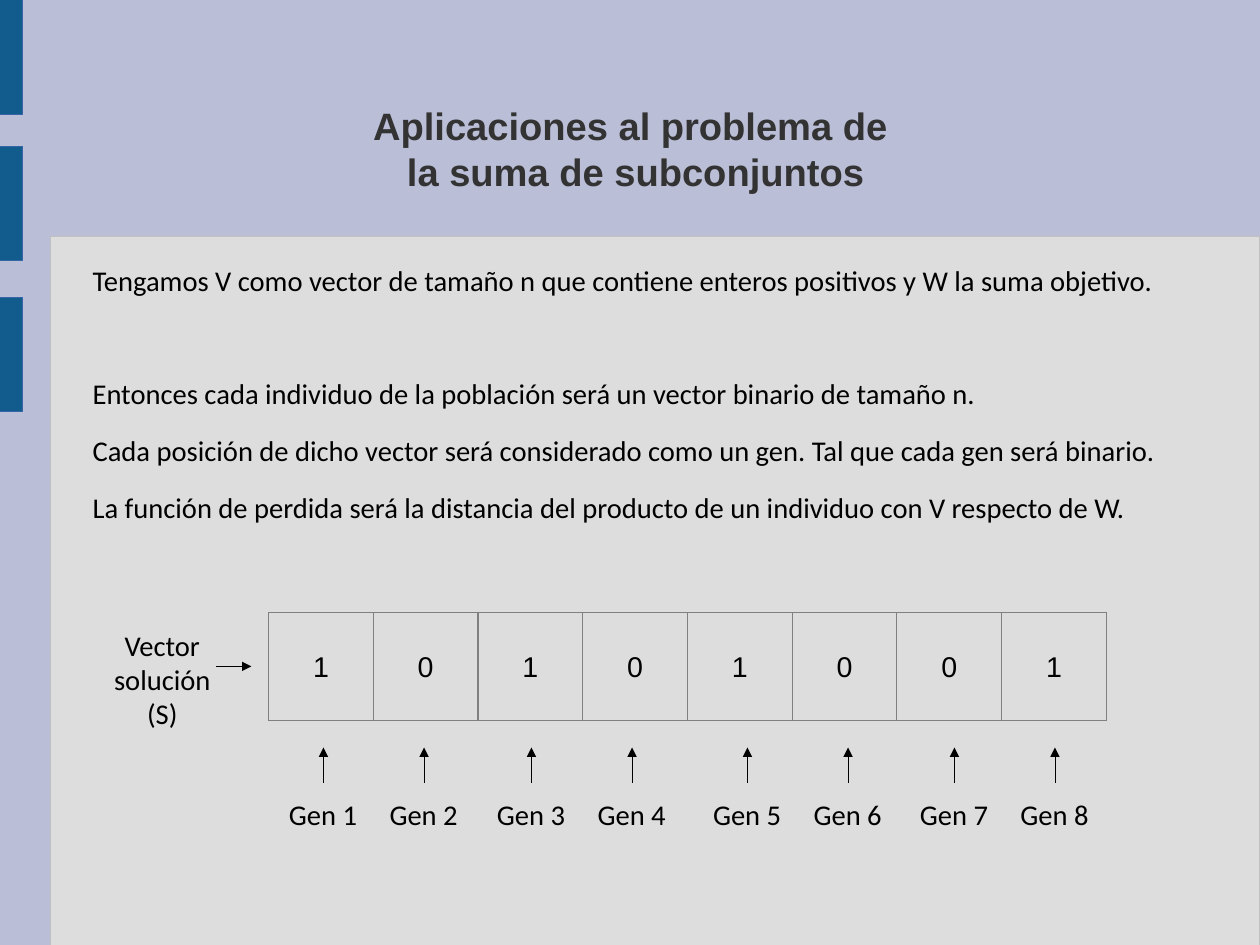
from pptx import Presentation
from pptx.dml.color import RGBColor
from pptx.enum.shapes import MSO_CONNECTOR, MSO_SHAPE
from pptx.enum.text import MSO_ANCHOR, MSO_AUTO_SIZE, PP_ALIGN
from pptx.oxml.ns import qn
from pptx.util import Inches, Pt
from lxml import etree

RECTANGLE = MSO_SHAPE.RECTANGLE
STRAIGHT = MSO_CONNECTOR.STRAIGHT
TOP, MIDDLE = MSO_ANCHOR.TOP, MSO_ANCHOR.MIDDLE
LEFT, CENTER = PP_ALIGN.LEFT, PP_ALIGN.CENTER
GROW = MSO_AUTO_SIZE.SHAPE_TO_FIT_TEXT

THEME = {
    "background": "BABED6", "panel": "DDDDDD", "panel_line": "C0C0C0",
    "tab": "125C8D", "tab_line": "3465A4", "cell_line": "808080",
    "title": "333333", "text": "000000",
    "title_font": "Arial", "body_font": "Calibri",
    "title_size": 24, "body_size": 18,
}

TITLE = ["Aplicaciones al problema de\v la suma de subconjuntos"]
STATEMENTS = [
    "Tengamos V como vector de tamaño n que contiene enteros positivos y W la suma objetivo.",
    "Entonces cada individuo de la población será un vector binario de tamaño n.",
    "Cada posición de dicho vector será considerado como un gen. Tal que cada gen será binario.",
    "La función de perdida será la distancia del producto de un individuo con V respecto de W.",
]
STATEMENT_GAPS = [49.8, 14.2, 14.2, 14.2]
VECTOR_LABEL = ["Vector solución", "(S)"]
GENES = [1, 0, 1, 0, 1, 0, 0, 1]

CM_PER_INCH = 2.54
PAGE_WIDTH, PAGE_HEIGHT = 28 / CM_PER_INCH, 21 / CM_PER_INCH
TAB_TOPS = [0, 1.28, 2.6]
CELL_LEFT, CELL_RIGHT, CELL_TOP, CELL_HEIGHT = 2.35, 9.68, 5.36, 0.94
CELL_WIDTH = (CELL_RIGHT - CELL_LEFT) / len(GENES)
PAIR_STARTS = [2.83, 4.65, 6.54, 8.35]
PAIR_STEP = 0.88
LABEL_WIDTH = 0.8


def color(name):
    return RGBColor.from_string(THEME[name])


def write(shape, lines, font="body_font", size="body_size", ink="text", bold=False,
          align=LEFT, anchor=TOP, margins=(0.1, 0.05), gaps=None, wrap=True):
    frame = shape.text_frame
    frame.word_wrap = wrap
    frame.vertical_anchor = anchor
    frame.margin_left = frame.margin_right = Inches(margins[0])
    frame.margin_top = frame.margin_bottom = Inches(margins[1])
    for index, line in enumerate(lines):
        para = frame.paragraphs[0] if index == 0 else frame.add_paragraph()
        para.text = line
        para.alignment = align
        if gaps:
            para.space_after = Pt(gaps[index])
        for span in para.runs:
            span.font.name = THEME[font]
            span.font.size = Pt(THEME[size])
            span.font.bold = bold
            span.font.color.rgb = color(ink)


def add_text(page, area, lines, grow=True, **style):
    box = page.shapes.add_textbox(*map(Inches, area))
    write(box, lines, **style)
    if grow:
        box.text_frame.auto_size = GROW


def set_hairline(shape, name):
    shape.line.color.rgb = color(name)
    outline = shape.element.spPr.find(qn("a:ln"))
    outline.set("w", "0")
    return outline


def add_block(page, area, line, fill=None):
    block = page.shapes.add_shape(RECTANGLE, *map(Inches, area))
    block.shadow.inherit = False
    if fill:
        block.fill.solid()
        block.fill.fore_color.rgb = color(fill)
    else:
        block.fill.background()
    set_hairline(block, line)
    return block


def add_arrow(page, start, end):
    arrow = page.shapes.add_connector(STRAIGHT, *map(Inches, start + end))
    outline = set_hairline(arrow, "text")
    etree.SubElement(outline, qn("a:tailEnd"), type="triangle")
    etree.SubElement(arrow.element.spPr, qn("a:effectLst"))


def main():
    deck = Presentation()
    deck.slide_width, deck.slide_height = Inches(PAGE_WIDTH), Inches(PAGE_HEIGHT)
    page = deck.slides.add_slide(deck.slide_layouts[6])
    page.background.fill.solid()
    page.background.fill.fore_color.rgb = color("background")

    add_block(page, (0.44, 2.07, 10.58, 6.2), "panel_line", "panel")
    for top in TAB_TOPS:
        add_block(page, (0, top, 0.2, 1), "tab_line", "tab")

    add_text(page, (0.81, 0.61, 9.41, 1.38), TITLE, grow=False, font="title_font",
             size="title_size", ink="title", bold=True, align=CENTER, anchor=MIDDLE,
             margins=(0, 0))
    add_text(page, (0.81, 2.3, 9.41, 5.21), STATEMENTS, grow=False, margins=(0, 0),
             gaps=STATEMENT_GAPS)

    for index, gene in enumerate(GENES):
        left = CELL_LEFT + index * CELL_WIDTH
        cell = add_block(page, (left, CELL_TOP, CELL_WIDTH, CELL_HEIGHT), "cell_line")
        write(cell, [str(gene)], font="title_font", align=CENTER, anchor=MIDDLE)

    add_text(page, (0.71, 5.44, 1.42, 1.01), VECTOR_LABEL, align=CENTER)
    middle = CELL_TOP + CELL_HEIGHT / 2
    add_arrow(page, (1.89, middle), (2.2, middle))

    for index in range(len(GENES)):
        pair, member = divmod(index, 2)
        center = PAIR_STARTS[pair] + member * PAIR_STEP
        add_arrow(page, (center, 6.85), (center, 6.54))
        add_text(page, (center - LABEL_WIDTH / 2, 6.92, LABEL_WIDTH, 0.4),
                 [f"Gen {index + 1}"], wrap=False)

    deck.save("out.pptx")


if __name__ == "__main__":
    main()
